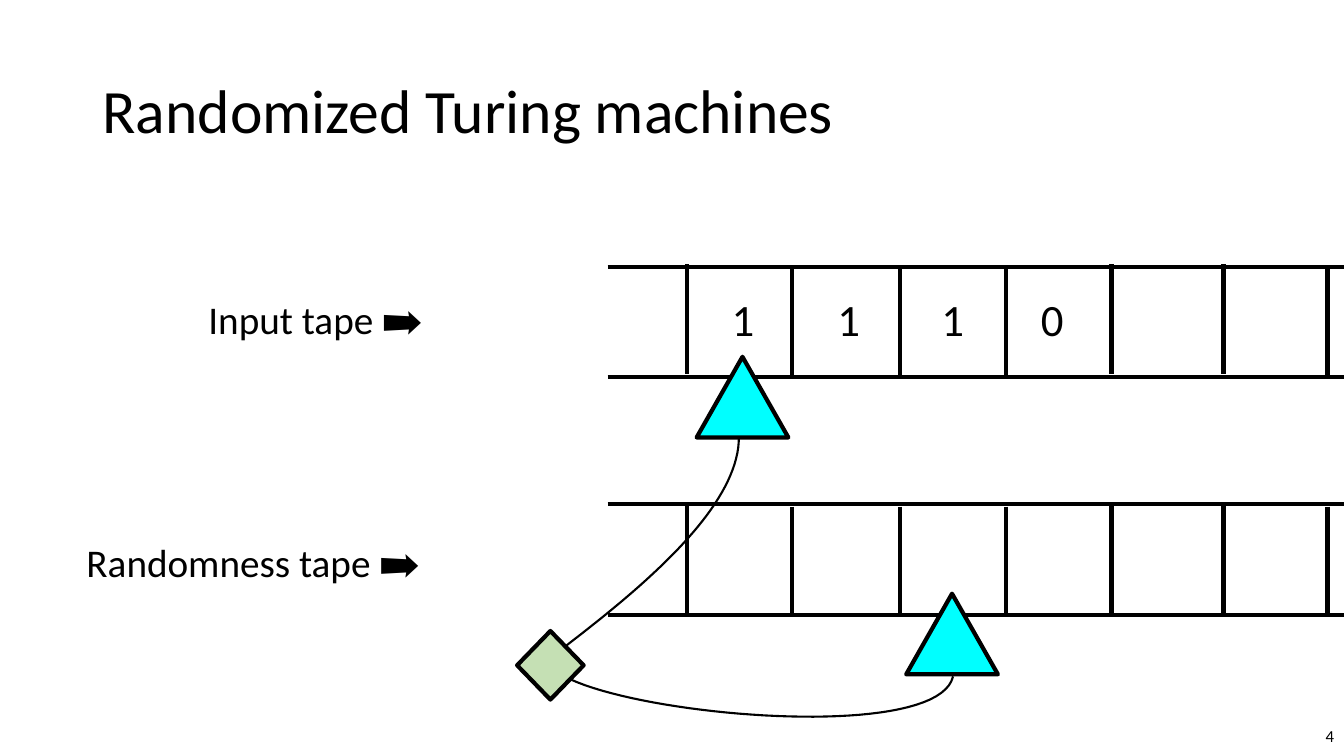
from lxml.etree import SubElement
from pptx import Presentation
from pptx.dml.color import RGBColor
from pptx.enum.shapes import MSO_CONNECTOR, MSO_SHAPE
from pptx.enum.text import MSO_ANCHOR, PP_ALIGN
from pptx.oxml.ns import qn
from pptx.util import Pt

COLORS = {"ink": "000000", "head": "00FFFF", "state": "C5E0B4"}
FONT = "Calibri"
DIVIDERS = [56.5, 132, 209, 284.5, 360, 440, 514.2]
RAISED = {0, 4, 5}
DIGITS = [("1", 96.7), ("1", 172.3), ("1", 246.5), ("0", 317.7)]


def color(name):
    return RGBColor.from_string(COLORS[name])


def text(slide, box, words, size, align=PP_ALIGN.LEFT, anchor=MSO_ANCHOR.TOP, space=1.0):
    frame = slide.shapes.add_textbox(*map(Pt, box)).text_frame
    frame.word_wrap = True
    frame.vertical_anchor = anchor
    para = frame.paragraphs[0]
    para.alignment = align
    para.line_spacing = space
    run = para.add_run()
    run.text = words
    run.font.name = FONT
    run.font.size = Pt(size)
    run.font.color.rgb = color("ink")


def outline(shape, width):
    shape.line.color.rgb = color("ink")
    shape.line.width = Pt(width)


def rule(slide, *ends):
    line = slide.shapes.add_connector(MSO_CONNECTOR.STRAIGHT, *map(Pt, ends))
    outline(line, 3)
    SubElement(line._element.spPr, qn("a:effectLst"))


def mark(slide, kind, box, fill):
    shape = slide.shapes.add_shape(kind, *map(Pt, box))
    shape.shadow.inherit = False
    shape.fill.solid()
    shape.fill.fore_color.rgb = color(fill)
    outline(shape, 3)


def curve(slide, *nodes, steps=40):
    """Draw a cubic Bezier curve through its four control nodes."""
    def point(t):
        weights = ((1 - t) ** 3, 3 * t * (1 - t) ** 2, 3 * t * t * (1 - t), t ** 3)
        return tuple(Pt(sum(w * node[axis] for w, node in zip(weights, nodes)))
                     for axis in (0, 1))

    points = [point(i / steps) for i in range(steps + 1)]
    path = slide.shapes.build_freeform(*points[0])
    path.add_line_segments(points[1:], close=False)
    shape = path.convert_to_shape()
    shape.shadow.inherit = False
    shape.fill.background()
    outline(shape, 1.5)


def tape(slide, box, lift=0, digits=()):
    """Draw a tape of cells; lift moves the dividers up or down."""
    left, top, width, height = box
    for i, gap in enumerate(DIVIDERS):
        start = top + lift + (0 if i in RAISED else 1.8)
        rule(slide, left + gap, start, left + gap, start + height)
    for y in (top, top + height):
        rule(slide, left, y, left + width, y)
    for digit, mid in digits:
        text(slide, (left + mid - 21, top + 14.4, 42, 46), digit, 32, PP_ALIGN.CENTER)


def header(slide, box):
    text(slide, box, "Randomized Turing machines", 44, anchor=MSO_ANCHOR.MIDDLE, space=0.9)


def footer(slide, box):
    text(slide, box, "4", 12, PP_ALIGN.RIGHT, MSO_ANCHOR.MIDDLE)


def control(slide, box):
    """Draw the state diamond and the two heads wired to it."""
    left, top, width, height = box
    mark(slide, MSO_SHAPE.DIAMOND, (left, top, 47.5, 49), "state")
    wires = [
        [(311.4, 32.4), (301.3, 77.8), (99.7, 62.6), (38.2, 34.6)],
        [(158.4, -139), (159.1, -87.1), (84.2, -27.4), (33.8, 11.5)],
    ]
    for nodes in wires:
        curve(slide, *[(left + x, top + y) for x, y in nodes])
    for x, y in [(128.2, -195.8), (277.9, -26.6)]:
        mark(slide, MSO_SHAPE.ISOSCELES_TRIANGLE, (left + x, top + y, 65.5, 57.6), "head")


def main():
    deck = Presentation()
    deck.slide_width, deck.slide_height = Pt(960), Pt(540)
    slide = deck.slides.add_slide(deck.slide_layouts[6])
    header(slide, (66.2, 28.8, 828, 104.4))
    footer(slide, (744, 511.2, 216, 28.8))
    tape(slide, (434, 190.6, 526, 78.8), -2, DIGITS)
    tape(slide, (434, 360, 526, 79.2))
    text(slide, (141.8, 207.4, 220.3, 41), "Input tape ➡", 28)
    text(slide, (54.7, 380.9, 309.6, 41), "Randomness tape ➡", 28)
    control(slide, (369.4, 450.7, 343.4, 61))
    deck.save("out.pptx")


if __name__ == "__main__":
    main()
